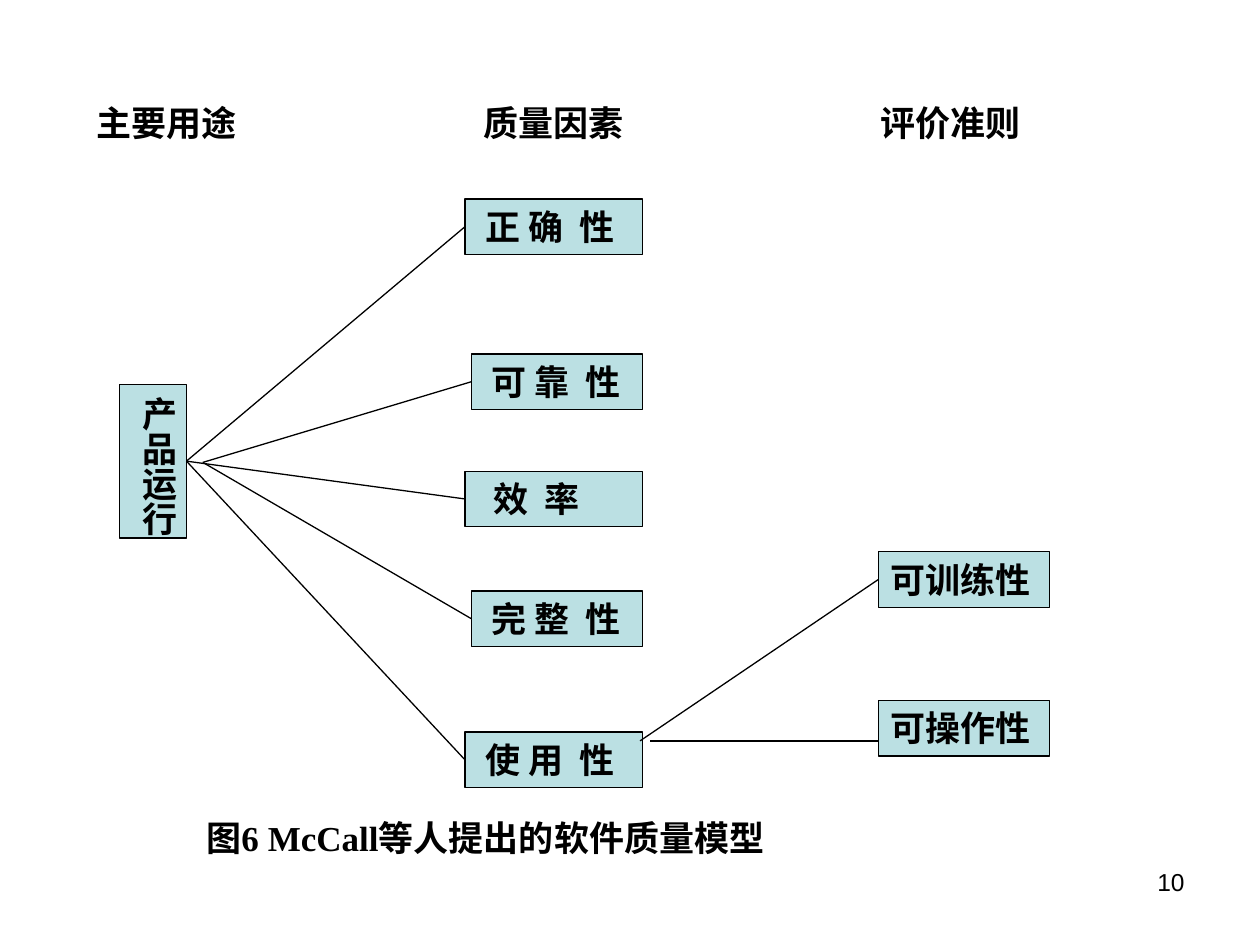
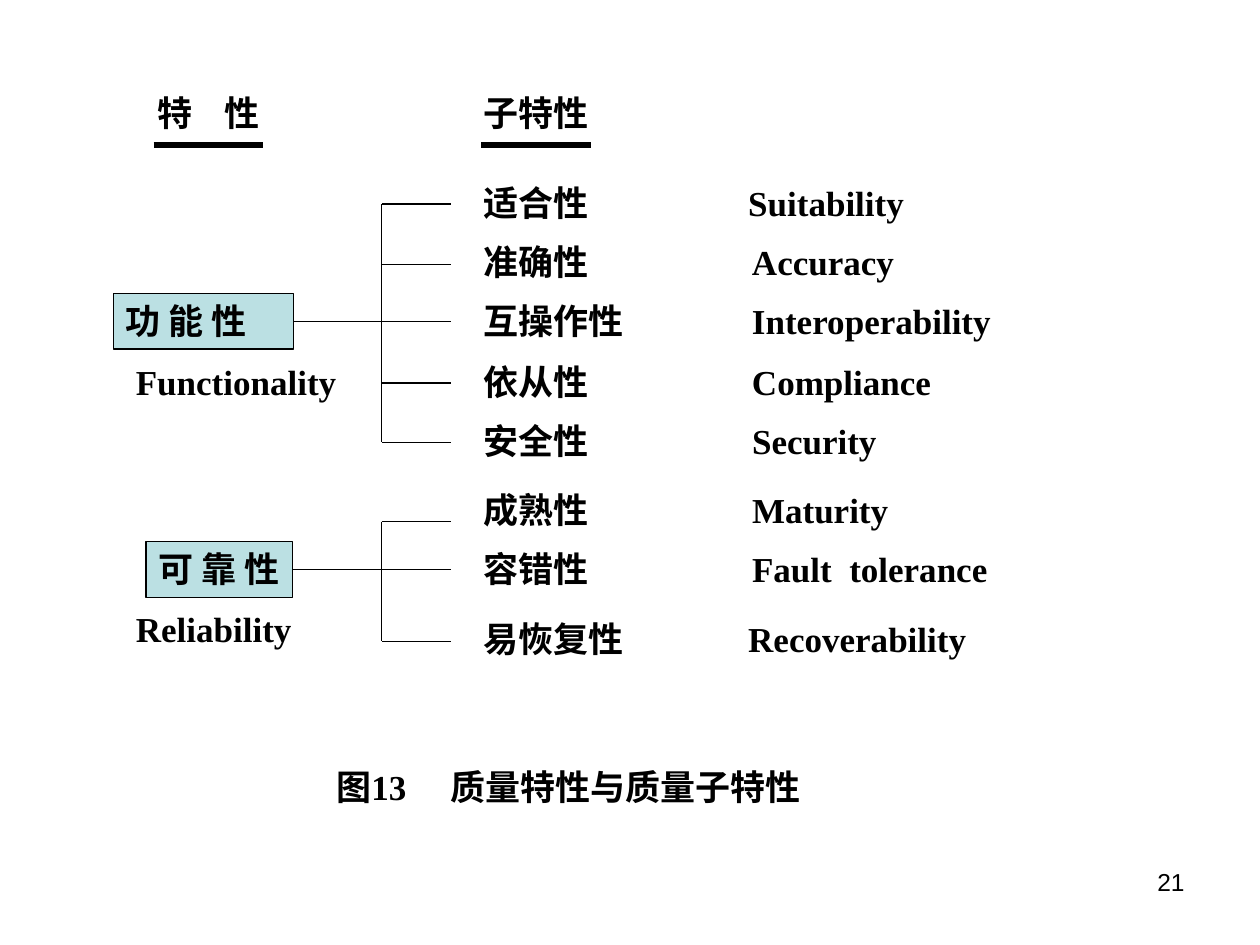
"""Build two slides of software quality models as branching diagrams."""
import dataclasses

import lxml.etree
import pptx
import pptx.dml.color
import pptx.enum.shapes
import pptx.enum.text
import pptx.oxml.ns
import pptx.util

Inches = pptx.util.Inches


@dataclasses.dataclass(frozen=True)
class Theme:
    ink: pptx.dml.color.RGBColor = pptx.dml.color.RGBColor(0x00, 0x00, 0x00)
    box_fill: pptx.dml.color.RGBColor = pptx.dml.color.RGBColor(0xBB, 0xE0, 0xE3)
    body_font: str = "Times New Roman"
    body_size: float = 20
    number_font: str = "Arial"
    number_size: float = 14
    thin: float = 0.75
    thick: float = 3
    row_height: float = 0.44


theme = Theme()


def add_label(page, text, left, top, width, height=theme.row_height, boxed=False, wrap=False, number=False):
    place = [Inches(value) for value in (left, top, width, height)]
    if boxed:
        label = page.shapes.add_shape(pptx.enum.shapes.MSO_SHAPE.RECTANGLE, *place)
        label.shadow.inherit = False
        label.fill.solid()
        label.fill.fore_color.rgb = theme.box_fill
        label.line.color.rgb = theme.ink
        label.line.width = pptx.util.Pt(theme.thin)
    else:
        label = page.shapes.add_textbox(*place)
    frame = label.text_frame
    frame.text = text
    frame.word_wrap = wrap
    frame.vertical_anchor = pptx.enum.text.MSO_ANCHOR.TOP
    if not number:
        frame.auto_size = pptx.enum.text.MSO_AUTO_SIZE.SHAPE_TO_FIT_TEXT
    para = frame.paragraphs[0]
    para.alignment = pptx.enum.text.PP_ALIGN.RIGHT if number else pptx.enum.text.PP_ALIGN.LEFT
    font = para.runs[0].font
    font.name = theme.number_font if number else theme.body_font
    font.size = pptx.util.Pt(theme.number_size if number else theme.body_size)
    font.bold = not number
    font.color.rgb = theme.ink
    return label


def add_line(page, start, end, source=None, target=None, width=theme.thin):
    line = page.shapes.add_connector(
        pptx.enum.shapes.MSO_CONNECTOR.STRAIGHT, *[Inches(value) for value in (*start, *end)])
    if source is not None:
        line.begin_connect(source, 3)
    if target is not None:
        line.end_connect(target, 1)
    line.line.color.rgb = theme.ink
    line.line.width = pptx.util.Pt(width)
    properties = line._element.spPr
    lxml.etree.SubElement(properties, pptx.oxml.ns.qn("a:effectLst"))


deck = pptx.Presentation()
deck.slide_width = Inches(10)
deck.slide_height = Inches(7.5)
model_page, traits_page = [deck.slides.add_slide(deck.slide_layouts[6]) for _ in range(2)]

for heading, left, width in [("主要用途", 0.67, 1.83), ("质量因素", 3.74, 1.76), ("评价准则", 6.89, 1.53)]:
    add_label(model_page, heading, left, 0.76, width, wrap=True)

operation = add_label(model_page, "产品运行", 0.95, 3.05, 0.53, 1.22, boxed=True)
operation_body = operation.text_frame
operation_body._txBody.bodyPr.set("vert", "eaVert")
operation_body.margin_left = operation_body.margin_right = Inches(0.05)
operation_body.margin_top = operation_body.margin_bottom = Inches(0.05)

factors = [
    (" 正 确  性", 3.69, 1.58, True),
    (" 可 靠  性", 3.74, 2.81, False),
    ("  效  率", 3.69, 3.74, True),
    (" 完 整  性", 3.74, 4.69, False),
    (" 使 用  性", 3.69, 5.81, True),
]
for factor, left, top, touches_operation in factors:
    factor_box = add_label(model_page, factor, left, top, 5.1 - left, boxed=True, wrap=True)
    start = (1.48, 3.66) if touches_operation else (1.61, 3.67)
    source = operation if touches_operation else None
    add_line(model_page, start, (left, top + theme.row_height / 2), source, factor_box)

training = add_label(model_page, "可训练性", 6.97, 4.38, 1.36, boxed=True, wrap=True)
add_label(model_page, "可操作性", 6.97, 5.56, 1.36, boxed=True, wrap=True)
add_line(model_page, (5.08, 5.88), (6.97, 4.6), target=training)
add_line(model_page, (5.16, 5.88), (6.97, 5.88))
add_label(model_page, "图6 McCall等人提出的软件质量模型", 1.54, 6.43, 4.76)

for heading, left, width, rule_left in [("特    性", 1.15, 1.06, 1.22), ("子特性", 3.74, 1.1, 3.82)]:
    add_label(traits_page, heading, left, 0.68, width)
    add_line(traits_page, (rule_left, 1.15), (rule_left + 0.87, 1.15), width=theme.thick)

subtraits = [
    ("适合性", "Suitability", 1.39, 5.84, 1.5),
    ("准确性", "Accuracy", 1.86, 5.87, 1.4),
    ("互操作性", "Interoperability", 2.33, 5.87, 2.2),
    ("依从性", "Compliance", 2.81, 5.87, 1.7),
    ("安全性", "Security", 3.28, 5.87, 1.25),
    ("成熟性", "Maturity", 3.83, 5.87, 1.35),
    ("容错性", "Fault  tolerance", 4.3, 5.87, 2.15),
    ("易恢复性", "Recoverability", 4.85, 5.84, 2),
]
for chinese, english, top, english_left, english_width in subtraits:
    add_label(traits_page, chinese, 3.74, top, 0.26 + 0.28 * len(chinese))
    add_label(traits_page, english, english_left, top, english_width)

traits = [
    ("功 能 性", 0.9, 2.33, 1.43, True, "Functionality", 2.81, 1.9, [1.62, 2.1, 3.04, 3.51]),
    ("可 靠 性", 1.16, 4.3, 1.16, False, "Reliability", 4.77, 1.6, [4.14, 5.09]),
]
trunk, branch_end = 3.03, 3.58
for trait, left, top, width, wrap, english, english_top, english_width, branches in traits:
    trait_box = add_label(traits_page, trait, left, top, width, boxed=True, wrap=wrap)
    add_label(traits_page, english, 0.98, english_top, english_width)
    middle = top + theme.row_height / 2
    add_line(traits_page, (left + width, middle), (branch_end, middle), source=trait_box)
    add_line(traits_page, (trunk, branches[0]), (trunk, branches[-1]))
    for branch in branches:
        add_line(traits_page, (trunk, branch), (branch_end, branch))

add_label(traits_page, "图13     质量特性与质量子特性", 2.57, 6.03, 4.02)

for page, page_number in [(model_page, "10"), (traits_page, "21")]:
    add_label(page, page_number, 7.17, 6.83, 2.33, 0.52, wrap=True, number=True)

deck.save("out.pptx")
